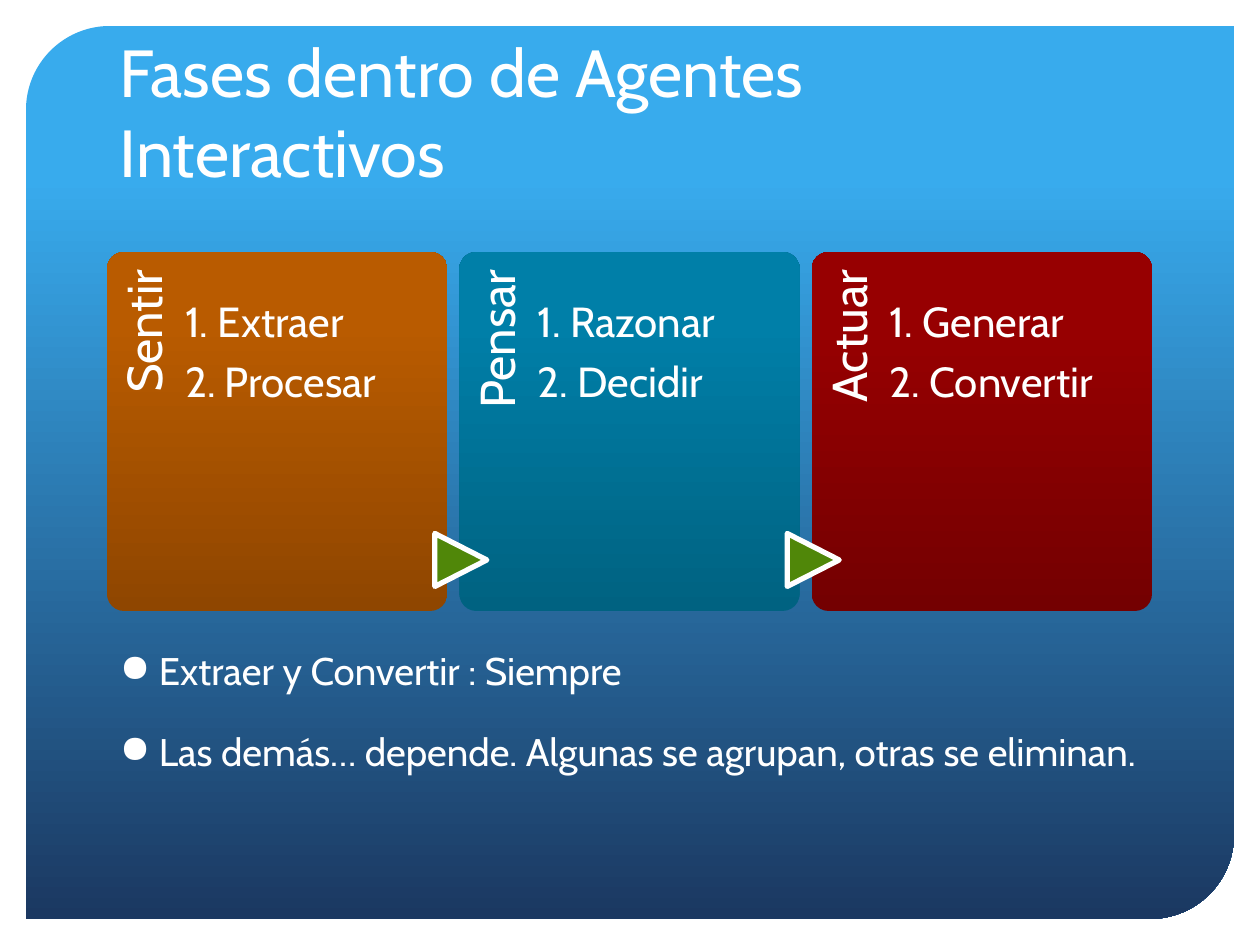
from lxml import etree
from pptx import Presentation
from pptx import util as u
from pptx.dml.color import RGBColor
from pptx.enum import shapes, text
from pptx.oxml.ns import qn

PX = 914400 / 126
FONT = "Cabin"
COLORS = {
    "white": "FFFFFF",
    "sky": "38ABED",
    "navy": "1B3861",
    "green": "508709",
    "orange_dark": "8F4600",
    "orange": "B95B00",
    "teal_dark": "006281",
    "teal": "007FA8",
    "red_dark": "740001",
    "red": "970001",
}
PHASES = [
    ("Sentir", ["1. Extraer", "2. Procesar"], "orange"),
    ("Pensar", ["1. Razonar", "2. Decidir"], "teal"),
    ("Actuar", ["1. Generar", "2. Convertir"], "red"),
]
NOTES = [
    "Extraer y Convertir : Siempre",
    "Las demás… depende. Algunas se agrupan, otras se eliminan.",
]


def px(*lengths):
    """Turn pixel lengths into EMU."""
    return [u.Emu(round(length * PX)) for length in lengths]


def rgb(name):
    """Look up a palette colour."""
    return RGBColor.from_string(COLORS[name])


def add_gradient_shape(slide, kind, box, stops, angle, corner):
    """Add an unlined shape with a two-stop gradient and a given corner."""
    shape = slide.shapes.add_shape(kind, *px(*box))
    shape.shadow.inherit = False
    shape.adjustments[0] = corner
    shape.line.fill.background()
    shape.fill.gradient()
    shape.fill.gradient_angle = angle
    for stop, (position, name) in zip(shape.fill.gradient_stops, stops):
        stop.position = position
        stop.color.rgb = rgb(name)


def add_text(slide, box, lines, size, insets=(13, 6, 13, 6)):
    """Add a wrapped white text box and return it."""
    holder = slide.shapes.add_textbox(*px(*box))
    frame = holder.text_frame
    frame.word_wrap = True
    (frame.margin_left, frame.margin_top,
     frame.margin_right, frame.margin_bottom) = px(*insets)
    for index, line in enumerate(lines):
        paragraph = frame.add_paragraph() if index else frame.paragraphs[0]
        run = paragraph.add_run()
        run.text = line
        run.font.name = FONT
        run.font.size = u.Pt(size)
        run.font.color.rgb = rgb("white")
    return holder


def add_backdrop(slide, box):
    """Add the blue panel with two rounded corners."""
    add_gradient_shape(slide, shapes.MSO_SHAPE.ROUND_2_DIAG_RECTANGLE, box,
                       [(0.17, "sky"), (1, "navy")], 270, 0.094)


def add_title(slide, box):
    """Add the slide title, resting on the bottom of its box."""
    title = add_text(slide, box, ["Fases dentro de Agentes Interactivos"], 38)
    title.text_frame.vertical_anchor = text.MSO_ANCHOR.BOTTOM


def add_arrow(slide, box):
    """Add a green triangle pointing right."""
    arrow = slide.shapes.add_shape(
        shapes.MSO_SHAPE.FLOWCHART_EXTRACT, *px(*box))
    arrow.shadow.inherit = False
    arrow.rotation = 90
    arrow.fill.solid()
    arrow.fill.fore_color.rgb = rgb("green")
    arrow.line.color.rgb = rgb("white")
    arrow.line.width = u.Pt(3)


def add_phase(slide, box, phase, has_arrow):
    """Add a phase card with its upright name, steps and incoming arrow."""
    name, steps, color = phase
    left, top, width, height = box
    add_gradient_shape(slide, shapes.MSO_SHAPE.ROUNDED_RECTANGLE, box,
                       [(0, color + "_dark"), (0.8, color)], 90, 0.05)
    label = add_text(slide, (left - 113, top + 113, 295, 68), [name], 28,
                     (0, 13, 18, 0))
    label.rotation = 270
    label.text_frame.paragraphs[0].alignment = text.PP_ALIGN.RIGHT
    if has_arrow:
        add_arrow(slide, (left - 25, top + height - 77, 53, 52))
    body = add_text(slide, (left + 68, top, width - 87, height), steps, 24,
                    (10, 49, 0, 0))
    for paragraph in (*label.text_frame.paragraphs,
                      *body.text_frame.paragraphs):
        paragraph.line_spacing = 0.9
        paragraph.space_after = u.Pt(8.4)


def add_phases(slide, box):
    """Spread the phase cards evenly across the box."""
    left, top, width, height = box
    gap = 12
    card = (width - gap * (len(PHASES) - 1)) / len(PHASES)
    for index, phase in enumerate(PHASES):
        card_box = (left + index * (card + gap), top, card, height)
        add_phase(slide, card_box, phase, index > 0)


def add_notes(slide, box):
    """Add the bulleted remarks below the cards."""
    notes = add_text(slide, box, NOTES, 22)
    indent = px(39)[0]
    for index, paragraph in enumerate(notes.text_frame.paragraphs):
        properties = paragraph._p.get_or_add_pPr()
        properties.set("marL", str(indent))
        properties.set("indent", str(-indent))
        etree.SubElement(properties, qn("a:buChar"), char="●")
        if index:
            paragraph.space_before = u.Pt(20)


def main():
    """Build and save the slide."""
    deck = Presentation()
    deck.slide_width, deck.slide_height = px(1260, 945)
    slide = deck.slides.add_slide(deck.slide_layouts[6])
    add_backdrop(slide, (26, 26, 1208, 893))
    add_title(slide, (107, 53, 1044, 144))
    add_phases(slide, (107, 252, 1045, 359))
    add_notes(slide, (107, 641, 1045, 228))
    deck.save("out.pptx")


if __name__ == "__main__":
    main()
